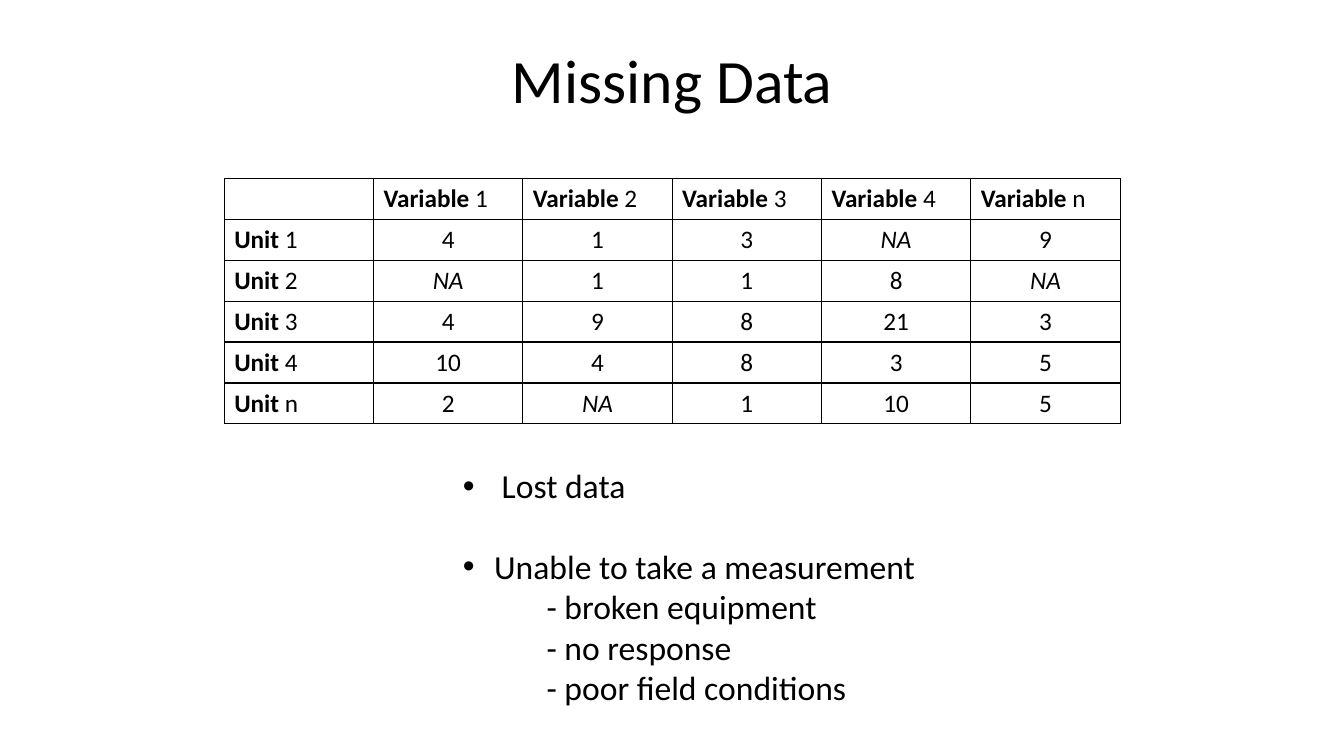
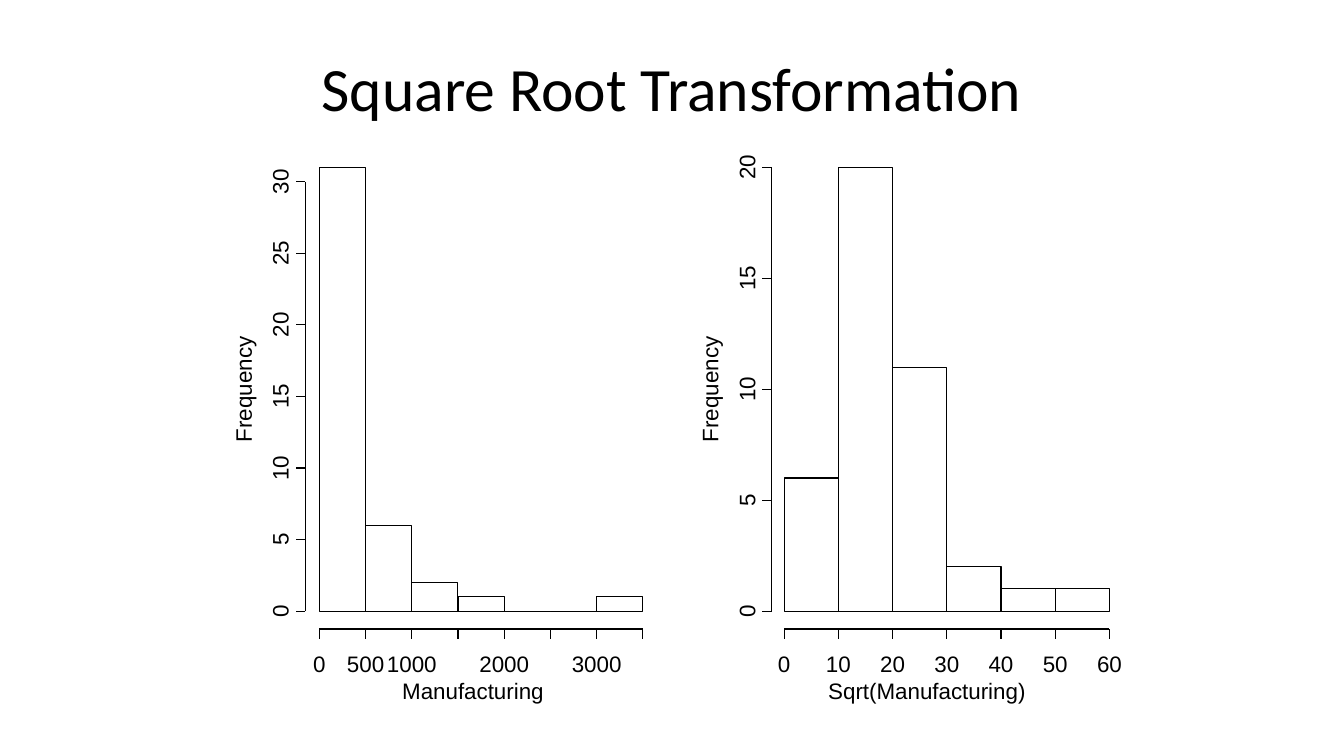
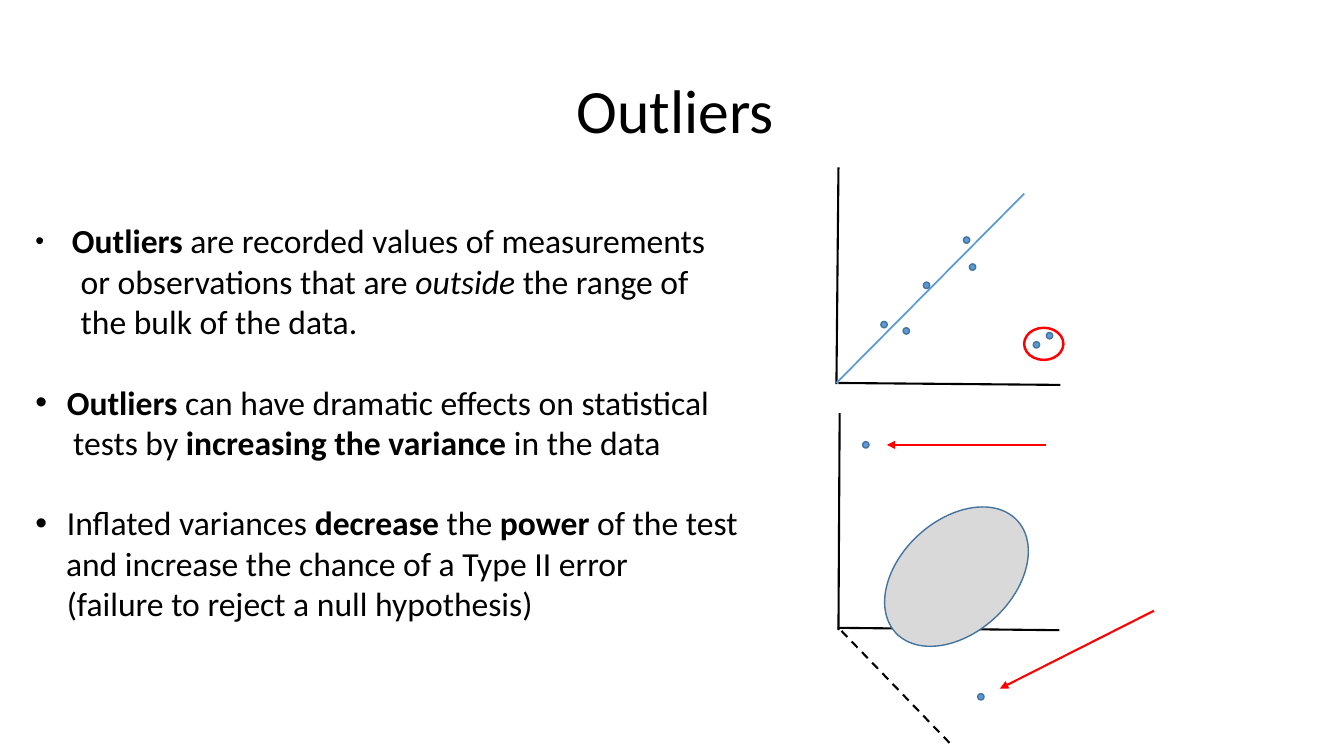
import dataclasses

import lxml.etree
import pptx
import pptx.dml.color
import pptx.enum.dml
import pptx.enum.shapes
import pptx.enum.text
import pptx.oxml
import pptx.oxml.ns
import pptx.util

Cm = pptx.util.Cm
Pt = pptx.util.Pt
qn = pptx.oxml.ns.qn
RGB = pptx.dml.color.RGBColor.from_string
ALIGN = pptx.enum.text.PP_ALIGN
SHAPE = pptx.enum.shapes.MSO_SHAPE


@dataclasses.dataclass(frozen=True)
class Theme:
    ink: RGB = RGB("000000")
    blue: RGB = RGB("5B9BD5")
    blue_edge: RGB = RGB("43739E")
    grey: RGB = RGB("D9D9D9")
    red: RGB = RGB("FF0000")
    font: str = "Calibri"
    plot_font: str = "Arial"
    title: float = 44
    body: float = 24
    cell: float = 18
    plot: float = 16
    blank_line: float = 28.8


THEME = Theme()


def write(frame, *runs, size=THEME.body, font=THEME.font, align=ALIGN.LEFT, spacing=None,
          before=0, margin=0, bullet=None):
    """Add a paragraph; a run is plain text or a (text, "b" or "i") pair.

    margin is in cm; bullet is the bullet's size in percent of the text.
    """
    first = frame.paragraphs[0]
    paragraph = frame.add_paragraph() if first.runs else first
    paragraph.alignment = align
    paragraph.space_before = Pt(before)
    if spacing:
        paragraph.line_spacing = spacing
    properties = paragraph._p.get_or_add_pPr()
    properties.set("marL", str(Cm(margin)))
    properties.set("indent", str(-Cm(margin) if bullet else 0))
    if bullet:
        lxml.etree.SubElement(properties, qn("a:buSzPct"), val=str(bullet * 1000))
        lxml.etree.SubElement(properties, qn("a:buChar"), char="•")
    else:
        lxml.etree.SubElement(properties, qn("a:buNone"))
    for piece in runs:
        text, style = (piece, "") if isinstance(piece, str) else piece
        run = paragraph.add_run()
        run.text = text
        run.font.name = font
        run.font.size = Pt(size)
        run.font.bold = style == "b"
        run.font.italic = style == "i"
        run.font.color.rgb = THEME.ink


def draw_line(slide, x1, y1, x2, y2, color=THEME.ink, weight=0.75, dash=False, arrow=False):
    line = slide.shapes.add_connector(
        pptx.enum.shapes.MSO_CONNECTOR.STRAIGHT, Cm(x1), Cm(y1), Cm(x2), Cm(y2))
    line.line.color.rgb = color
    line.line.width = Pt(weight)
    if dash:
        line.line.dash_style = pptx.enum.dml.MSO_LINE.DASH
    if arrow:
        lxml.etree.SubElement(line.get_or_add_ln(), qn("a:tailEnd"), type="triangle")
    lxml.etree.SubElement(line._element.spPr, qn("a:effectLst"))


deck = pptx.Presentation()
deck.slide_width, deck.slide_height = Cm(33.87), Cm(19.05)
CONTENT, TITLE_ONLY = deck.slide_layouts[1], deck.slide_layouts[5]

# Slides with their titles and body areas
slides = []
for heading, layout, left, top, body_box in [
    ("Missing Data", CONTENT, 2.34, 0.27, (11.41, 11.6, 12.01, 7.3)),
    ("Square Root Transformation", TITLE_ONLY, 2.33, 0.46, None),
    ("Outliers", CONTENT, 2.42, 1.02, (0.64, 5.42, 18.5, 10.52)),
]:
    slide = deck.slides.add_slide(layout)
    areas = [(slide.shapes.title, (left, top, 29.21, 3.68))]
    if body_box:
        areas.append((slide.placeholders[1], body_box))
    for area, box in areas:
        area.left, area.top, area.width, area.height = map(Cm, box)
        area.text_frame.auto_size = pptx.enum.text.MSO_AUTO_SIZE.NONE
    write(slide.shapes.title.text_frame, heading, size=THEME.title, align=ALIGN.CENTER,
          spacing=0.9)
    slides.append(slide)
missing, transformation, outliers = slides

# Missing data: table of units by variables
observations = [
    ["", "Variable 1", "Variable 2", "Variable 3", "Variable 4", "Variable n"],
    ["Unit 1", "4", "1", "3", "NA", "9"],
    ["Unit 2", "NA", "1", "1", "8", "NA"],
    ["Unit 3", "4", "9", "8", "21", "3"],
    ["Unit 4", "10", "4", "8", "3", "5"],
    ["Unit n", "2", "NA", "1", "10", "5"],
]
grid = missing.shapes.add_table(6, 6, Cm(5.65), Cm(4.5), Cm(22.58), Cm(6.18)).table
grid.first_row = grid.horz_banding = False
for r, row in enumerate(observations):
    grid.rows[r].height = Cm(1.03)
    for c, value in enumerate(row):
        cell = grid.cell(r, c)
        if r == 0 or c == 0:
            word, _, index = value.partition(" ")
            runs = [(word, "b"), " " + index] if value else []
            write(cell.text_frame, *runs, size=THEME.cell)
        else:
            write(cell.text_frame, (value, "i" if value == "NA" else ""), size=THEME.cell,
                  align=ALIGN.CENTER)
        cell_properties = cell._tc.get_or_add_tcPr()
        for side in ("lnL", "lnR", "lnT", "lnB"):
            border = lxml.etree.SubElement(cell_properties, qn("a:" + side), w=str(Pt(1)))
            paint = lxml.etree.SubElement(border, qn("a:solidFill"))
            lxml.etree.SubElement(paint, qn("a:srgbClr"), val=str(THEME.ink))
        cell.fill.background()

# Missing data: causes
causes = missing.placeholders[1].text_frame
write(causes, "Lost data", margin=0.98, bullet=100)
write(causes, "Unable to take a measurement", margin=0.79, bullet=100,
      before=THEME.blank_line)
for cause in ("- broken equipment", "- no response", "- poor field conditions"):
    write(causes, cause, margin=2.11)

# Square root transformation: two histograms with detached axes
BASELINE, BAR_TOP = 15.4, 4.22
BAR_HEIGHT = BASELINE - BAR_TOP
SCALE_Y, TICK = 15.85, 0.24

for variable, counts, step, shown, left, width, axis_x, name_x, scale_top in [
    ("Manufacturing", (31, 6, 2, 1, 0, 0, 1), 500, (0, 500, 1000, 2000, 3000),
     8.05, 8.15, 7.69, 11.92, 30),
    ("Sqrt(Manufacturing)", (6, 20, 11, 2, 1, 1), 10, range(0, 70, 10),
     19.76, 8.2, 19.45, 23.36, 20),
]:
    bin_width = width / len(counts)
    unit = BAR_HEIGHT / max(counts)

    # Bars
    for i, count in enumerate(counts):
        bar = transformation.shapes.add_shape(
            SHAPE.RECTANGLE, Cm(left + i * bin_width), Cm(BASELINE - count * unit),
            Cm(bin_width), Cm(count * unit))
        bar.shadow.inherit = False
        bar.fill.background()
        bar.line.color.rgb = THEME.ink
        bar.line.width = Pt(0.75)

    # Scales, with labels as (text, centre x, centre y, rotation)
    labels = [(variable, name_x, 17.41, 0),
              ("Frequency", axis_x - 1.57, BASELINE - BAR_HEIGHT / 2, 270)]
    draw_line(transformation, left, SCALE_Y, left + width, SCALE_Y)
    for i in range(len(counts) + 1):
        x = left + i * bin_width
        draw_line(transformation, x, SCALE_Y, x, SCALE_Y + TICK)
        if i * step in shown:
            labels.append((str(i * step), x, 16.73, 0))
    draw_line(transformation, axis_x, BASELINE, axis_x, BASELINE - scale_top * unit)
    for count in range(0, scale_top + 1, 5):
        y = BASELINE - count * unit
        draw_line(transformation, axis_x, y, axis_x - TICK, y)
        labels.append((str(count), axis_x - 0.64, y, 270))

    for text, x, y, rotation in labels:
        label_width, label_height = 0.34 * len(text), 0.68
        label = transformation.shapes.add_textbox(
            Cm(x - label_width / 2), Cm(y - label_height / 2),
            Cm(label_width), Cm(label_height))
        label.rotation = rotation
        frame = label.text_frame
        frame.margin_left = frame.margin_right = frame.margin_top = frame.margin_bottom = 0
        frame.word_wrap = False
        frame.vertical_anchor = pptx.enum.text.MSO_ANCHOR.MIDDLE
        write(frame, text, size=THEME.plot, font=THEME.plot_font, align=ALIGN.CENTER)

# Outliers: definition and effects
effects = outliers.placeholders[1].text_frame
write(effects, ("Outliers ", "b"), "are recorded values of measurements",
      margin=0.92, bullet=75)
write(effects, "or observations that are ", ("outside ", "i"), "the range of", margin=1.14)
write(effects, "the bulk of the data.", margin=1.14)
write(effects, ("Outliers", "b"), " can have dramatic effects on statistical",
      margin=0.79, bullet=100, before=THEME.blank_line)
write(effects, "tests by ", ("increasing the variance ", "b"), "in the data", margin=0.95)
write(effects, "Inflated variances ", ("decrease", "b"), " the ", ("power", "b"),
      " of the test", margin=0.79, bullet=100, before=THEME.blank_line)
write(effects, "and increase the chance of a Type II error", margin=0.77)
write(effects, "(failure to reject a null hypothesis)", margin=0.79)

# Outliers: axes of both sketches, trend, depth axis and arrows
for ends in [
    (21.13, 4.22, 21.08, 9.68), (26.72, 9.7, 21.13, 9.65),
    (21.16, 10.41, 21.13, 15.88), (26.7, 15.88, 21.11, 15.82),
]:
    draw_line(outliers, *ends, weight=1.5)
draw_line(outliers, 21.08, 9.65, 25.81, 4.88, color=THEME.blue, weight=1.25)
draw_line(outliers, 23.93, 18.72, 21.13, 15.82, weight=1.5, dash=True)
for ends in [(26.37, 11.21, 22.35, 11.21), (29.08, 15.39, 25.2, 17.35)]:
    draw_line(outliers, *ends, color=THEME.red, weight=1.5, arrow=True)

# Outliers: data points, ring around the outlying pair, data cloud
points = [
    (22.76, 8.26), (22.2, 8.1), (23.27, 7.11), (24.28, 5.97), (24.43, 6.65),
    (26.04, 8.61), (26.37, 8.38), (21.74, 11.13), (24.64, 17.48),
]
ovals = [(x, y, 0.16, 0.16, 0, THEME.blue, THEME.blue_edge, 1) for x, y in points]
ovals.append((25.81, 8.26, 0.99, 0.81, 0, None, THEME.red, 1.75))
ovals.append((22.02, 13.11, 4.17, 2.84, 317.4, THEME.grey, THEME.blue_edge, 1))
for x, y, width, height, rotation, fill, edge, weight in ovals:
    oval = outliers.shapes.add_shape(SHAPE.OVAL, Cm(x), Cm(y), Cm(width), Cm(height))
    oval.shadow.inherit = False
    oval.rotation = rotation
    if fill is None:
        oval.fill.background()
    else:
        oval.fill.solid()
        oval.fill.fore_color.rgb = fill
    oval.line.color.rgb = edge
    oval.line.width = Pt(weight)

deck.save("out.pptx")
